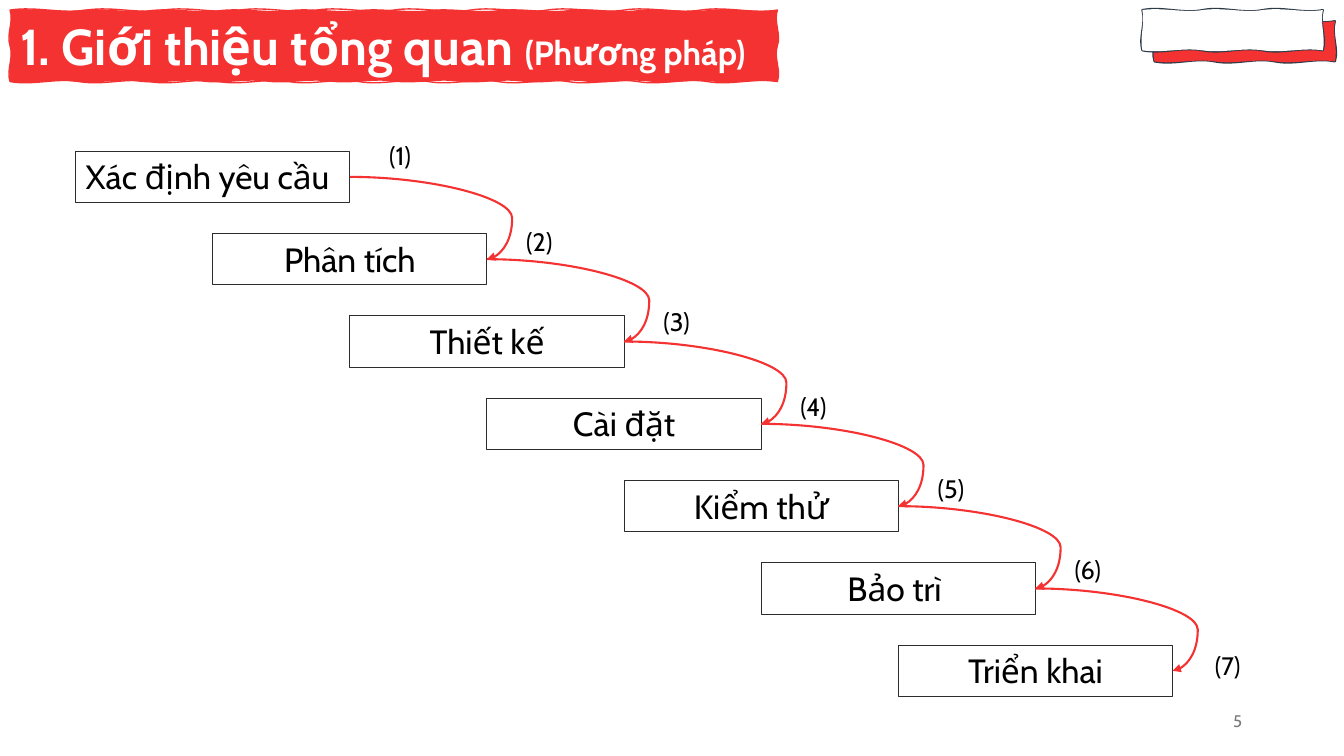
from pptx import Presentation
from pptx.dml.color import RGBColor
from pptx.enum.shapes import MSO_CONNECTOR as Link, MSO_SHAPE as Shape
from pptx.enum.text import MSO_ANCHOR as Anchor, MSO_AUTO_SIZE as Fit, PP_ALIGN as Align
from pptx.oxml.ns import qn
from pptx.util import Inches, Pt
from lxml.etree import SubElement

RED = RGBColor(0xF5, 0x32, 0x32)
WHITE = RGBColor(0xFF, 0xFF, 0xFF)
BLACK = RGBColor(0, 0, 0)
INK = RGBColor(0x2C, 0x2C, 0x2C)
NAVY = RGBColor(0x2D, 0x3A, 0x47)
GREY = RGBColor(0x79, 0x79, 0x79)

STEPS = ["Xác định yêu cầu", "Phân tích", "Thiết kế", "Cài đặt",
         "Kiểm thử", "Bảo trì ", "Triển khai"]
MARKS = [(3.76, 1.34), (5.12, 2.2), (6.48, 2.99), (7.84, 3.83),
         (9.2, 4.65), (10.56, 5.45), (11.95, 6.4)]
LEFT, TOP, WIDE, HIGH = 0.75, 1.5, 2.72, 0.51
RIGHT, DOWN = 1.36, 4.9 / 6


def write(frame, *runs, font="Cabin", color=BLACK, bold=False,
          align=Align.LEFT, anchor=Anchor.TOP):
    """Fill a text frame with (text, size) runs in one paragraph."""
    frame.word_wrap = True
    frame.auto_size = Fit.NONE
    frame.vertical_anchor = anchor
    frame.margin_left = frame.margin_right = Inches(0.1)
    frame.margin_top = frame.margin_bottom = Inches(0.05)
    para = frame.paragraphs[0]
    para.alignment = align
    for text, size in runs:
        run = para.add_run()
        run.text = text
        run.font.name = font
        run.font.size = Pt(size)
        run.font.bold = bold
        run.font.color.rgb = color


def ripple(w, h, counts, amp):
    """Return the start and the curves of a rectangle with wavy sides."""
    ends = [(0, 0), (w, 0), (w, h), (0, h), (0, 0)]
    curves = []
    for (ax, ay), (bx, by), count in zip(ends, ends[1:], counts):
        dx, dy = (bx - ax) / count, (by - ay) / count
        sx, sy = (0, amp) if dy == 0 else (amp, 0)
        for i in range(count):
            x, y = ax + i * dx, ay + i * dy
            curves.append([(x + dx / 3 - sx, y + dy / 3 - sy),
                           (x + dx * 2 / 3 + sx, y + dy * 2 / 3 + sy),
                           (x + dx, y + dy)])
    return ends[0], curves


def trace(path, start, curves):
    def dot(parent, x, y):
        SubElement(parent, qn("a:pt"), x=str(Inches(x)), y=str(Inches(y)))

    dot(SubElement(path, qn("a:moveTo")), *start)
    for curve in curves:
        bend = SubElement(path, qn("a:cubicBezTo"))
        for x, y in curve:
            dot(bend, x, y)
    SubElement(path, qn("a:close"))


class Sketch:
    def __init__(self, slide):
        self.shapes = slide.shapes

    def brush(self, x, y, w, h, fill, line, weight, loose, paint):
        """Draw a painted block under a loose outline; counts are waves per side."""
        pen = self.shapes.build_freeform(Inches(x), Inches(y))
        pen.add_line_segments([(Inches(x + w), Inches(y)),
                               (Inches(x + w), Inches(y + h)),
                               (Inches(x), Inches(y + h))])
        shape = pen.convert_to_shape()
        shape.shadow.inherit = False
        shape.fill.solid()
        shape.fill.fore_color.rgb = fill
        shape.line.color.rgb = line
        shape.line.width = Pt(weight)
        paths = shape._element.spPr.find(qn("a:custGeom")).find(qn("a:pathLst"))
        paths.remove(paths[0])
        size = {"w": str(Inches(w)), "h": str(Inches(h))}
        trace(SubElement(paths, qn("a:path"), fill="none", **size),
              *ripple(w, h, loose, 0.04))
        trace(SubElement(paths, qn("a:path"), stroke="0", **size),
              *ripple(w, h, paint, 0.03))

    def title(self, x, y, w, h, *runs):
        head = self.shapes.title
        head.left, head.top = Inches(x), Inches(y)
        head.width, head.height = Inches(w), Inches(h)
        write(head.text_frame, *runs, color=WHITE, bold=True)
        self.shapes._spTree.append(head._element)

    def label(self, x, y, w, h, text, size, **style):
        box = self.shapes.add_textbox(Inches(x), Inches(y), Inches(w), Inches(h))
        write(box.text_frame, (text, size), **style)

    def box(self, x, y, text, align):
        box = self.shapes.add_shape(Shape.RECTANGLE, Inches(x), Inches(y),
                                    Inches(WIDE), Inches(HIGH))
        box.shadow.inherit = False
        box.fill.background()
        box.line.color.rgb = INK
        box.line.width = Pt(0.75)
        write(box.text_frame, (text, 24), align=align)
        return box

    def arrow(self, start, end):
        """Curve from the right side of one box to the right side of the next."""
        link = self.shapes.add_connector(Link.CURVE, 0, 0, 0, 0)
        link.begin_connect(start, 3)
        link.end_connect(end, 3)
        link.line.color.rgb = RED
        link.line.width = Pt(1.5)
        props = link._element.spPr
        SubElement(props.find(qn("a:ln")), qn("a:tailEnd"), type="triangle")
        SubElement(props, qn("a:effectLst"))
        geom = props.find(qn("a:prstGeom"))
        bends = geom.find(qn("a:avLst"))
        if bends is None:
            bends = SubElement(geom, qn("a:avLst"))
        SubElement(bends, qn("a:gd"), name="adj1", fmla="val 118400")


def main():
    deck = Presentation()
    deck.slide_width, deck.slide_height = Inches(13.33), Inches(7.5)
    art = Sketch(deck.slides.add_slide(deck.slide_layouts[5]))

    art.brush(0.1, 0.1, 7.61, 0.71, RED, RED, 1, (10, 2, 11, 2), (11, 2, 12, 2))
    art.title(0.1, 0.1, 7.61, 0.71,
              ("1. Giới thiệu tổng quan ", 36), ("(Phương pháp)", 24))
    art.label(9.42, 6.95, 3, 0.4, "5", 12, color=GREY,
              align=Align.RIGHT, anchor=Anchor.MIDDLE)
    for x, y, fill in [(11.45, 0.21, RED), (11.33, 0.1, WHITE)]:
        art.brush(x, y, 1.79, 0.4, fill, NAVY, 1.5, (3, 1, 3, 1), (3, 1, 3, 1))

    boxes = [art.box(LEFT + i * RIGHT, TOP + i * DOWN, step,
                     Align.CENTER if i else Align.LEFT)
             for i, step in enumerate(STEPS)]
    for start, end in zip(boxes, boxes[1:]):
        art.arrow(start, end)
    for i, (x, y) in enumerate(MARKS, 1):
        art.label(x, y, 0.55, 0.4, f"({i})", 18)

    deck.save("out.pptx")


if __name__ == "__main__":
    main()
